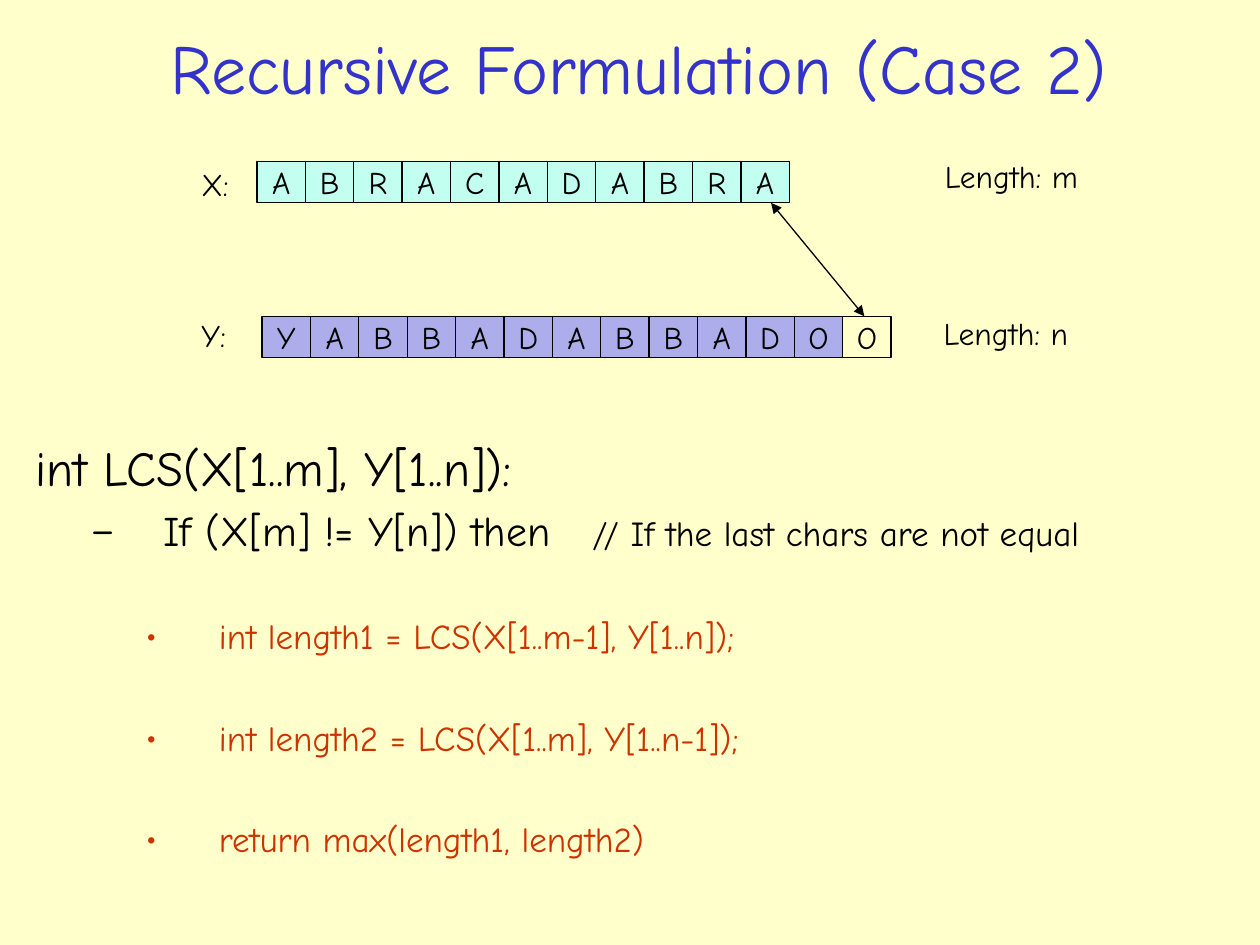
from lxml import etree
from pptx import Presentation
from pptx.dml.color import RGBColor
from pptx.enum.shapes import MSO_CONNECTOR, MSO_SHAPE
from pptx.enum.text import MSO_ANCHOR, PP_ALIGN
from pptx.oxml.ns import qn
from pptx.util import Inches, Pt

RECTANGLE = MSO_SHAPE.RECTANGLE
STRAIGHT = MSO_CONNECTOR.STRAIGHT
TOP, MIDDLE = MSO_ANCHOR.TOP, MSO_ANCHOR.MIDDLE
LEFT, CENTER = PP_ALIGN.LEFT, PP_ALIGN.CENTER

FONT = "Comic Neue"
COLORS = {
    "page": "FFFFCC", "title": "3333CC", "text": "000000",
    "x_cell": "C2FFF0", "y_cell": "ADADEB", "step": "CC3300",
}

# Grid of 100 columns by 75 rows
COLUMNS, ROWS = 100, 75
WIDTH, HEIGHT = Inches(10), Inches(7.5)
CELL_WIDTH, CELL_HEIGHT = 3.84, 3.3


def color(name):
    return RGBColor.from_string(COLORS[name])


def place(box):
    """Turn (left, top, width, height) in columns and rows into lengths."""
    units = (WIDTH / COLUMNS, HEIGHT / ROWS) * 2
    return [round(value * unit) for value, unit in zip(box, units)]


def write(para, text, size, color_name="text"):
    span = para.add_run()
    span.text = text
    for name, value in {"name": FONT, "size": Pt(size)}.items():
        setattr(span.font, name, value)
    span.font.color.rgb = color(color_name)
    return span


def set_frame(frame, anchor=TOP, wrap=False):
    values = {"word_wrap": wrap, "vertical_anchor": anchor,
              "margin_left": Inches(0.1), "margin_right": Inches(0.1),
              "margin_top": Inches(0.05), "margin_bottom": Inches(0.05)}
    for name, value in values.items():
        setattr(frame, name, value)


def add_label(page, box, text, size=18, color_name="text",
              align=LEFT, anchor=TOP, wrap=False):
    frame = page.shapes.add_textbox(*place(box)).text_frame
    set_frame(frame, anchor, wrap)
    frame.paragraphs[0].alignment = align
    write(frame.paragraphs[0], text, size, color_name)


def add_cell(page, box, letter, fill_name):
    cell = page.shapes.add_shape(RECTANGLE, *place(box))
    cell.shadow.inherit = False
    if fill_name:
        cell.fill.solid()
        cell.fill.fore_color.rgb = color(fill_name)
    else:
        cell.fill.background()
    cell.line.color.rgb = color("text")
    cell.line.width = Pt(0.75)
    set_frame(cell.text_frame, MIDDLE)
    para = cell.text_frame.paragraphs[0]
    para.alignment = CENTER
    write(para, letter, 18)


def add_letters(page, box, letters, fill_name, open_cells=0):
    """Row of letter cells; the last open_cells stay unfilled."""
    left, top, width, height = box
    filled = len(letters) - open_cells
    for index, letter in enumerate(letters):
        cell_box = (left + index * width, top, width, height)
        add_cell(page, cell_box, letter, fill_name if index < filled else None)


def add_double_arrow(page, start, end):
    arrow = page.shapes.add_connector(STRAIGHT, *place(start + end))
    arrow.line.color.rgb = color("text")
    arrow.line.width = Pt(0.75)
    line = arrow.line._get_or_add_ln()
    for tag in ("a:headEnd", "a:tailEnd"):
        etree.SubElement(line, qn(tag), type="triangle")
    etree.SubElement(arrow._element.spPr, qn("a:effectLst"))


def set_bullet(para, mark, color_name, margin, level, space):
    para.level = level
    para.space_before = Pt(space)
    properties = para._p.get_or_add_pPr()
    properties.set("marL", str(Inches(margin)))
    properties.set("indent", str(Inches(-0.58)))
    mark_color = etree.SubElement(properties, qn("a:buClr"))
    etree.SubElement(mark_color, qn("a:srgbClr"), val=COLORS[color_name])
    etree.SubElement(properties, qn("a:buFont"), typeface=FONT)
    etree.SubElement(properties, qn("a:buChar"), char=mark)


def add_algorithm(page, box, signature, condition, comment, steps):
    frame = page.shapes.add_textbox(*place(box)).text_frame
    set_frame(frame, wrap=True)
    write(frame.paragraphs[0], signature, 28)

    # Condition, with a widened space before its comment
    para = frame.add_paragraph()
    set_bullet(para, "–", "text", 1.02, 1, 5)
    write(para, condition, 24)
    gap = write(para, " ", 24)
    gap.font._element.set("spc", "1600")
    write(para, comment, 20)

    # Steps
    for step in steps:
        para = frame.add_paragraph()
        set_bullet(para, "•", "step", 1.46, 2, 34)
        write(para, step, 20, "step")


def main():
    deck = Presentation()
    deck.slide_width, deck.slide_height = WIDTH, HEIGHT
    page = deck.slides.add_slide(deck.slide_layouts[6])
    page.background.fill.solid()
    page.background.fill.fore_color.rgb = color("page")

    add_label(page, (3, 1.5, 95.4, 7.6), "Recursive Formulation (Case 2)",
              40, "title", CENTER, MIDDLE, True)

    # The two strings
    x_box = (20.4, 12.8, CELL_WIDTH, CELL_HEIGHT)
    y_box = (20.8, 25.1, CELL_WIDTH, CELL_HEIGHT)
    add_letters(page, x_box, "ABRACADABRA", "x_cell")
    add_letters(page, y_box, "YABBADABBADOO", "y_cell", open_cells=1)
    add_label(page, (15, 12.6, 5, 4), "X:")
    add_label(page, (15, 24.6, 5, 4), "Y:")
    add_label(page, (74, 12, 13, 4), "Length: m")
    add_label(page, (73.9, 24.4, 13, 4), "Length: n")
    add_double_arrow(page, (61.2, 16.1), (68.6, 25.1))

    add_algorithm(
        page, (1.8, 34.2, 97, 35.8),
        "int LCS(X[1..m], Y[1..n]):",
        "If (X[m] != Y[n]) then",
        "// If the last chars are not equal",
        ["int length1 = LCS(X[1..m-1], Y[1..n]);",
         "int length2 = LCS(X[1..m], Y[1..n-1]);",
         "return max(length1, length2)"])

    deck.save("out.pptx")


if __name__ == "__main__":
    main()
